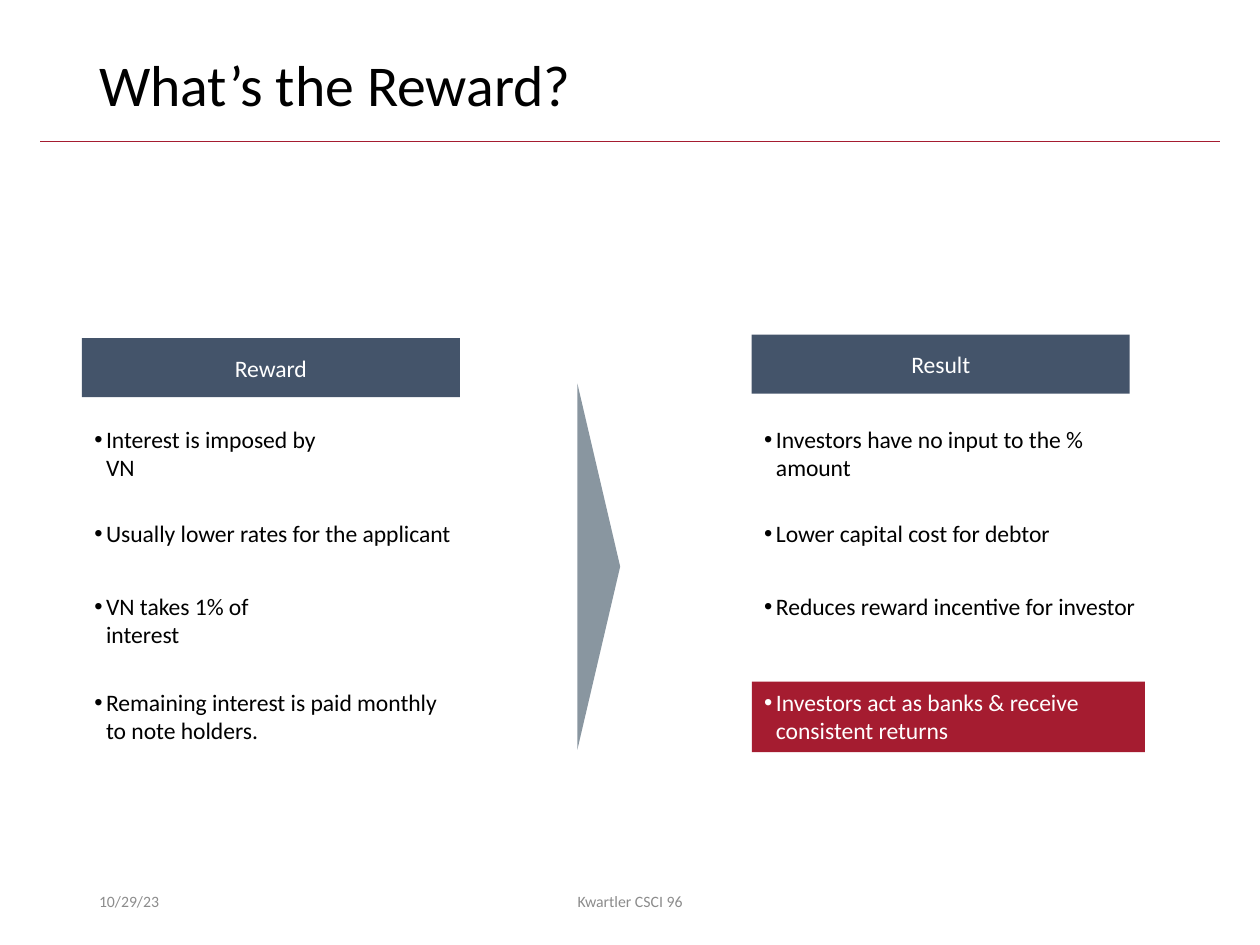
from lxml import etree
from pptx import Presentation
from pptx.dml.color import RGBColor
from pptx.enum import shapes, text
from pptx.oxml import ns
from pptx.util import Pt

NAVY, CRIMSON, SLATE = "44546A", "A51C30", "8996A0"
BLACK, WHITE, GREY = "000000", "FFFFFF", "8C8C8C"


def color(value):
    return RGBColor.from_string(value)


def write(shape, content, size, ink, align=text.PP_ALIGN.LEFT, bullet=False):
    paragraph = shape.text_frame.paragraphs[0]
    paragraph.alignment = align
    if bullet:
        properties = paragraph._p.get_or_add_pPr()
        properties.set("marL", str(Pt(6.75)))
        properties.set("indent", str(-Pt(6.75)))
        etree.SubElement(properties, ns.qn("a:buFont")).set("typeface", "Arial")
        etree.SubElement(properties, ns.qn("a:buChar")).set("char", "•")
    run = paragraph.add_run()
    run.text = content
    run.font.name = "Calibri"
    run.font.size = Pt(size)
    run.font.color.rgb = color(ink)
    return paragraph


presentation = Presentation()
presentation.slide_width, presentation.slide_height = Pt(720), Pt(540)
slide = presentation.slides.add_slide(presentation.slide_layouts[5])

# Rule under the title
rule = slide.shapes.add_connector(
    shapes.MSO_CONNECTOR.STRAIGHT, Pt(23), Pt(80.8), Pt(697), Pt(80.8))
rule.line.color.rgb = color(CRIMSON)
rule.line.width = Pt(0.5)
etree.SubElement(rule._element.spPr, ns.qn("a:effectLst"))

# Title
title = slide.shapes.title
title.left, title.top, title.width, title.height = Pt(49.5), Pt(28.75), Pt(621), Pt(46.8)
title.text_frame.vertical_anchor = text.MSO_ANCHOR.TOP
write(title, "What’s the Reward?", 33, BLACK).line_spacing = 0.9

# Column headers
for label, left, top in [("Reward", 46.8, 193.2), ("Result", 429.6, 191.2)]:
    header = slide.shapes.add_shape(
        shapes.MSO_SHAPE.RECTANGLE, Pt(left), Pt(top), Pt(216), Pt(33.75))
    header.shadow.inherit = False
    header.fill.solid()
    header.fill.fore_color.rgb = color(NAVY)
    header.line.fill.background()
    header.text_frame.vertical_anchor = text.MSO_ANCHOR.MIDDLE
    write(header, label, 13.5, WHITE, text.PP_ALIGN.CENTER)

# Arrow from reward to result
arrow = slide.shapes.add_shape(
    shapes.MSO_SHAPE.ISOSCELES_TRIANGLE, Pt(237.4), Pt(311.5), Pt(209.5), Pt(24.5))
arrow.rotation = 90
arrow.shadow.inherit = False
arrow.fill.solid()
arrow.fill.fore_color.rgb = color(SLATE)
arrow.line.fill.background()

# Reward and result points: top, then (text, width, wraps) for each column
rows = [
    (239.3, ("Interest is imposed by VN", 158.4, False),
     ("Investors have no input to the % amount", 216.7, True)),
    (293, ("Usually lower rates for the applicant", 221, False),
     ("Lower capital cost for debtor", 180, False)),
    (334.8, ("VN takes 1% of interest", 145.4, False),
     ("Reduces reward incentive for investor", 230.4, False)),
    (389.6, ("Remaining interest is paid monthly to note holders.", 215.3, True),
     ("Investors act as banks & receive consistent returns", 224.6, True)),
]
for top, *points in rows:
    for left, (content, width, wraps) in zip((46.8, 429.6), points):
        point = slide.shapes.add_textbox(
            Pt(left), Pt(top), Pt(width), Pt(40.3 if wraps else 23.8))
        point.text_frame.word_wrap = wraps
        point.text_frame.auto_size = text.MSO_AUTO_SIZE.SHAPE_TO_FIT_TEXT
        write(point, content, 13.5, BLACK, bullet=True)

# The last result is the conclusion
point.fill.solid()
point.fill.fore_color.rgb = color(CRIMSON)
point.text_frame.paragraphs[0].runs[0].font.color.rgb = color(WHITE)

# Date and footer
for content, left, width, align in [
        ("10/29/23", 49.5, 162, text.PP_ALIGN.LEFT),
        ("Kwartler CSCI 96", 238.5, 243, text.PP_ALIGN.CENTER)]:
    footer = slide.shapes.add_textbox(Pt(left), Pt(500.5), Pt(width), Pt(28.75))
    footer.text_frame.word_wrap = True
    footer.text_frame.vertical_anchor = text.MSO_ANCHOR.MIDDLE
    write(footer, content, 9, GREY, align)

presentation.save("out.pptx")
